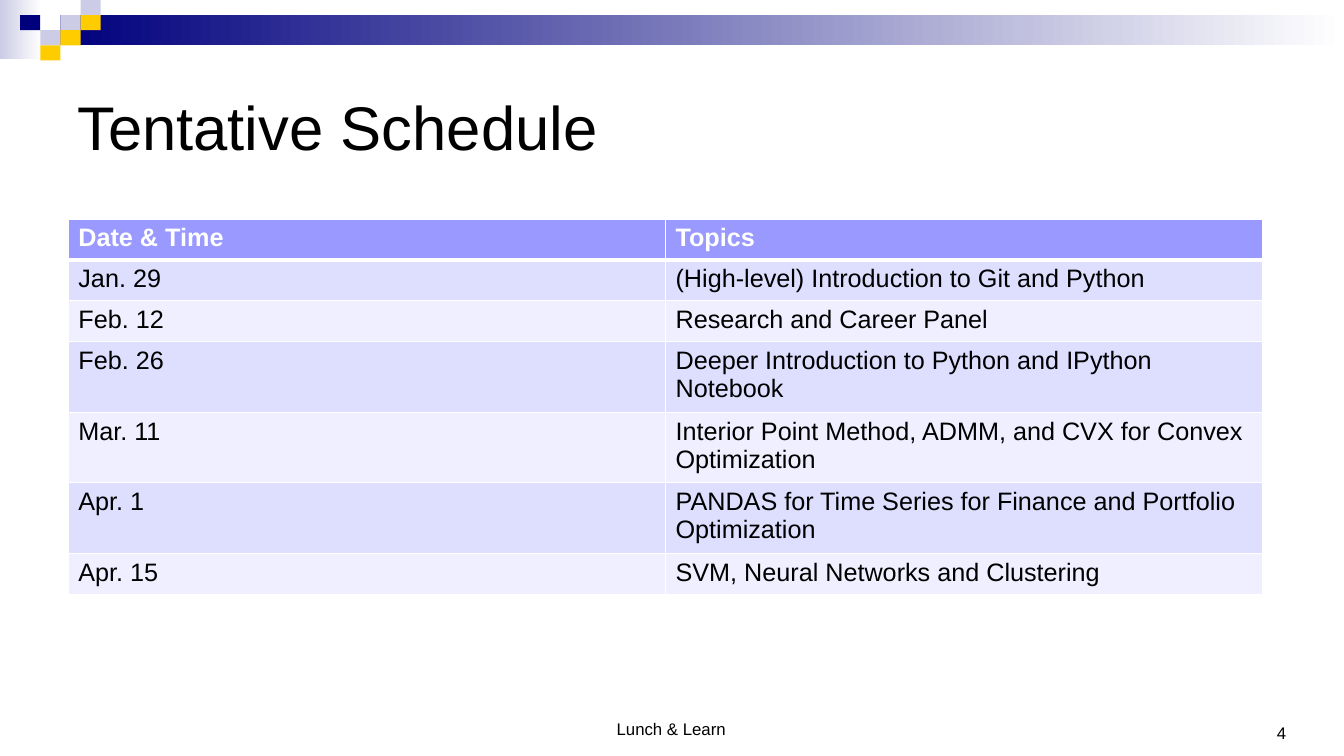
from dataclasses import dataclass

from lxml import etree
from pptx import Presentation
from pptx.dml.color import RGBColor
from pptx.enum import shapes, text
from pptx.oxml import ns
from pptx.util import Pt

TITLE = "Tentative Schedule"
FOOTER = "Lunch & Learn"
PAGE = "4"
SCHEDULE = [
    ("Date & Time", "Topics"),
    ("Jan. 29", "(High-level) Introduction to Git and Python"),
    ("Feb. 12", "Research and Career Panel"),
    ("Feb. 26", "Deeper Introduction to Python and IPython Notebook"),
    ("Mar. 11", "Interior Point Method, ADMM, and CVX for Convex Optimization"),
    ("Apr. 1", "PANDAS for Time Series for Finance and Portfolio Optimization"),
    ("Apr. 15", "SVM, Neural Networks and Clustering"),
]


@dataclass(frozen=True)
class Theme:
    font: str = "Arial"
    ink: str = "000000"
    white: str = "FFFFFF"
    navy: str = "00007D"
    lilac: str = "CCCCE6"
    gold: str = "FFCC00"
    header: str = "9999FF"
    bands: tuple = ("DEDEFF", "EFEFFF")
    title_size: int = 44
    table_size: int = 18
    small_size: int = 12


T = Theme()

# Left, top, width, height and start colour of the fading bars
BARS = [(0, 0, 30, 42, T.lilac), (43.2, 10.8, 916.8, 21.6, T.navy)]

# Column, row and colour of the mosaic tiles
TILE_W, TILE_H = 14.4, 10.8
TILES = [
    (3, 1, T.lilac), (4, 0, T.lilac), (4, 1, T.gold), (2, 2, T.lilac),
    (1, 1, T.navy), (3, 2, T.gold), (2, 3, T.gold),
]

TABLE_LEFT, TABLE_TOP = 48.8, 156.4
COL_W, ROW_H = 426.6, 29.2


def rgb(value):
    return RGBColor.from_string(value)


def write(tf, content, size=T.small_size, color=T.ink, bold=False,
          align=text.PP_ALIGN.LEFT):
    p = tf.paragraphs[0]
    p.alignment = align
    r = p.add_run()
    r.text = content
    r.font.name = T.font
    r.font.size = Pt(size)
    r.font.bold = bold
    r.font.color.rgb = rgb(color)


def add_box(s, left, top, width, height, color, fade=False):
    """Add a borderless rectangle, solid or fading to white on the right."""
    sp = s.shapes.add_shape(shapes.MSO_SHAPE.RECTANGLE,
                            Pt(left), Pt(top), Pt(width), Pt(height))
    sp.shadow.inherit = False
    sp.line.fill.background()
    if fade:
        sp.fill.gradient()
        sp.fill.gradient_angle = 0
        for stop, position, shade in zip(sp.fill.gradient_stops, (0, 1),
                                         (color, T.white)):
            stop.position = position
            stop.color.rgb = rgb(shade)
    else:
        sp.fill.solid()
        sp.fill.fore_color.rgb = rgb(color)


def add_label(s, content, left, top, width, wrap=True, **style):
    tf = s.shapes.add_textbox(Pt(left), Pt(top), Pt(width), Pt(21.6)).text_frame
    tf.word_wrap = wrap
    write(tf, content, **style)


def add_borders(cell, **widths):
    """Draw white cell borders; widths in points are keyed by side."""
    tc_pr = cell._tc.get_or_add_tcPr()
    for side, width in widths.items():
        ln = etree.SubElement(tc_pr, ns.qn(f"a:ln{side}"), w=str(Pt(width)))
        fill = etree.SubElement(ln, ns.qn("a:solidFill"))
        etree.SubElement(fill, ns.qn("a:srgbClr"), val=T.white)


def add_title(s):
    title = s.shapes.title
    title.left, title.top = Pt(48), Pt(36)
    title.width, title.height = Pt(864), Pt(108)
    tf = title.text_frame
    tf.auto_size = text.MSO_AUTO_SIZE.NONE
    tf.vertical_anchor = text.MSO_ANCHOR.MIDDLE
    write(tf, TITLE, size=T.title_size)


def add_schedule(s):
    rows, cols = len(SCHEDULE), len(SCHEDULE[0])
    table = s.shapes.add_table(rows, cols, Pt(TABLE_LEFT), Pt(TABLE_TOP),
                               Pt(COL_W * cols), Pt(ROW_H * rows)).table
    for col in table.columns:
        col.width = Pt(COL_W)
    for i, entries in enumerate(SCHEDULE):
        table.rows[i].height = Pt(ROW_H)
        head = i == 0
        for j, content in enumerate(entries):
            cell = table.cell(i, j)
            add_borders(cell, L=1, R=1, T=3 if i == 1 else 1, B=3 if head else 1)
            cell.fill.solid()
            cell.fill.fore_color.rgb = rgb(T.header if head else T.bands[(i - 1) % 2])
            write(cell.text_frame, content, size=T.table_size, bold=head,
                  color=T.white if head else T.ink)


def main():
    prs = Presentation()
    prs.slide_width, prs.slide_height = Pt(960), Pt(540)
    s = prs.slides.add_slide(prs.slide_layouts[5])
    for bar in BARS:
        add_box(s, *bar, fade=True)
    for col, row, color in TILES:
        add_box(s, col * TILE_W, row * TILE_H, TILE_W, TILE_H, color)
    add_label(s, PAGE, 905, 512.6, 29.5, wrap=False)
    add_label(s, FOOTER, 319.7, 509.8, 319.7, align=text.PP_ALIGN.CENTER)
    add_title(s)
    add_schedule(s)
    prs.save("out.pptx")


if __name__ == "__main__":
    main()
